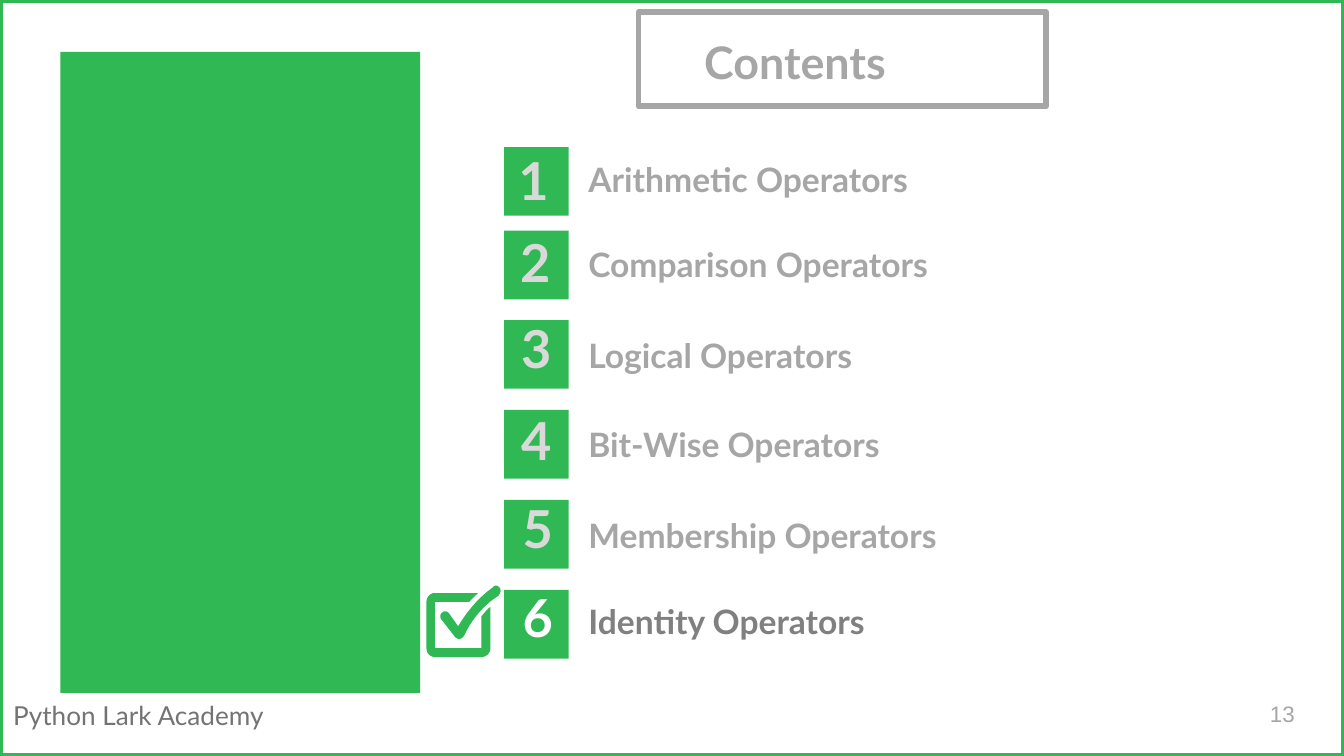
import pptx
import pptx.util
import pptx.dml.color
import pptx.enum.shapes
import pptx.enum.text

Cm = pptx.util.Cm
Pt = pptx.util.Pt
Align = pptx.enum.text.PP_ALIGN
Anchor = pptx.enum.text.MSO_ANCHOR

HUES = {
    "green": "30B854",
    "gray": "A6A6A6",
    "dark": "808080",
    "foot": "737373",
    "pale": "D9D9D9",
    "white": "FFFFFF",
}

# Label, square top, number left, number top, label top (cm)
ROWS = [
    ("Arithmetic Operators", 2.78, 8.33, 2.51, 2.72),
    ("Comparison Operators", 4.36, 8.36, 4.06, 4.32),
    ("Logical Operators", 6.05, 8.38, 5.69, 6.05),
    ("Bit-Wise Operators", 7.75, 8.38, 7.42, 7.72),
    ("Membership Operators", 9.45, 8.41, 9.09, 9.45),
    ("Identity Operators", 11.15, 8.41, 10.77, 11.07),
]
ACTIVE = 6

# Outlines in cm: one point is a line, three points are a curve
TICK = [
    [(9.37, 11.07)],
    [(9.35, 11.07), (9.33, 11.08), (9.32, 11.1)],
    [(9, 11.32), (8.77, 11.65), (8.66, 11.84)],
    [(8.49, 11.6)],
    [(8.45, 11.55), (8.4, 11.54), (8.36, 11.58)],
    [(8.31, 11.61), (8.31, 11.68), (8.35, 11.72)],
    [(8.6, 12.04)],
    [(8.63, 12.07), (8.66, 12.08), (8.69, 12.08)],
    [(8.72, 12.07), (8.75, 12.05), (8.77, 12.02)],
    [(8.78, 12), (8.97, 11.54), (9.42, 11.26)],
    [(9.46, 11.22), (9.47, 11.16), (9.45, 11.12)],
    [(9.43, 11.09), (9.4, 11.07), (9.37, 11.07)],
]
BOX = [
    [(9.1, 11.65)],
    [(9.1, 12.25)],
    [(8.22, 12.25)],
    [(8.22, 11.38)],
    [(8.87, 11.38)],
    [(8.92, 11.32), (8.97, 11.27), (9.04, 11.21)],
    [(8.22, 11.21)],
    [(8.13, 11.21), (8.06, 11.29), (8.06, 11.38)],
    [(8.06, 12.25)],
    [(8.06, 12.35), (8.13, 12.42), (8.22, 12.42)],
    [(9.1, 12.42)],
    [(9.19, 12.42), (9.27, 12.35), (9.27, 12.25)],
    [(9.27, 11.47)],
    [(9.2, 11.53), (9.15, 11.59), (9.1, 11.65)],
]


def color(name):
    return pptx.dml.color.RGBColor.from_string(HUES[name])


def trace(steps, count=8):
    """Turn lines and cubic curves into a list of points."""
    points = []
    for step in steps:
        if len(step) == 1:
            points += step
            continue
        a, (b, c, d) = points[-1], step
        for i in range(1, count + 1):
            t = i / count
            u = 1 - t
            points.append(tuple(
                u**3 * p + 3 * u * u * t * q + 3 * u * t * t * r + t**3 * s
                for p, q, r, s in zip(a, b, c, d)))
    return points


class Deck:
    font = "Lato"
    pad = 0.25

    def __init__(self, wide, high):
        self.file = pptx.Presentation()
        self.file.slide_width, self.file.slide_height = Cm(wide), Cm(high)
        self.slide = self.file.slides.add_slide(self.file.slide_layouts[6])

    def paint(self, shape, fill=None, line=None):
        shape.shadow.inherit = False
        if fill:
            shape.fill.solid()
            shape.fill.fore_color.rgb = color(fill)
        else:
            shape.fill.background()
        if line:
            shape.line.color.rgb = color(line)
            shape.line.width = Pt(3)
        else:
            shape.line.fill.background()

    def rect(self, x, y, w, h, fill=None, line=None):
        kind = pptx.enum.shapes.MSO_SHAPE.RECTANGLE
        shape = self.slide.shapes.add_shape(kind, Cm(x), Cm(y), Cm(w), Cm(h))
        self.paint(shape, fill, line)

    def free(self, steps, fill):
        points = [(Cm(x), Cm(y)) for x, y in trace(steps)]
        pen = self.slide.shapes.build_freeform(*points[0])
        pen.add_line_segments(points[1:], close=True)
        self.paint(pen.convert_to_shape(), fill)

    def text(self, words, x, y, w, h, size, hue, bold=True, font=None,
             align=Align.LEFT, anchor=Anchor.MIDDLE, space=1.0):
        box = self.slide.shapes.add_textbox(Cm(x), Cm(y), Cm(w), Cm(h))
        frame = box.text_frame
        frame.text = words
        frame.word_wrap = True
        frame.vertical_anchor = anchor
        frame.margin_left = frame.margin_right = Cm(self.pad)
        frame.margin_top = frame.margin_bottom = Cm(self.pad)
        for part in frame.paragraphs:
            part.alignment = align
            part.line_spacing = space
            for run in part.runs:
                run.font.name = font or self.font
                run.font.size = Pt(size)
                run.font.bold = bold
                run.font.color.rgb = color(hue)


def main():
    deck = Deck(25.4, 14.29)

    # Frame, side panel and heading
    deck.rect(0, 0, 25.4, 14.29, line="green")
    deck.rect(1.14, 0.98, 6.8, 12.12, fill="green")
    deck.rect(12.07, 0.23, 7.7, 1.78, line="gray")
    deck.text("Contents", 13.06, 0.56, 5.38, 1.04, 24, "gray", space=1.15)

    # Numbered topics
    for num, (label, top, left, high, low) in enumerate(ROWS, 1):
        live = num == ACTIVE
        deck.rect(9.53, top, 1.22, 1.3, fill="green")
        deck.text(str(num), left, high, 3.51, 1.78, 28,
                  "white" if live else "pale", align=Align.CENTER)
        deck.text(label, 10.87, low, 14.5, 1.3, 18,
                  "dark" if live else "gray", anchor=Anchor.BOTTOM)

    # Check mark beside the active topic
    deck.free(TICK, "green")
    deck.free(BOX, "green")

    # Footer and page number
    deck.text("Python Lark Academy", 0, 13.08, 6.48, 0.86, 14, "foot",
              bold=False)
    deck.text("13", 23.75, 12.95, 1.52, 1.09, 12, "gray", bold=False,
              font="Arial")

    deck.file.save("out.pptx")


if __name__ == "__main__":
    main()
